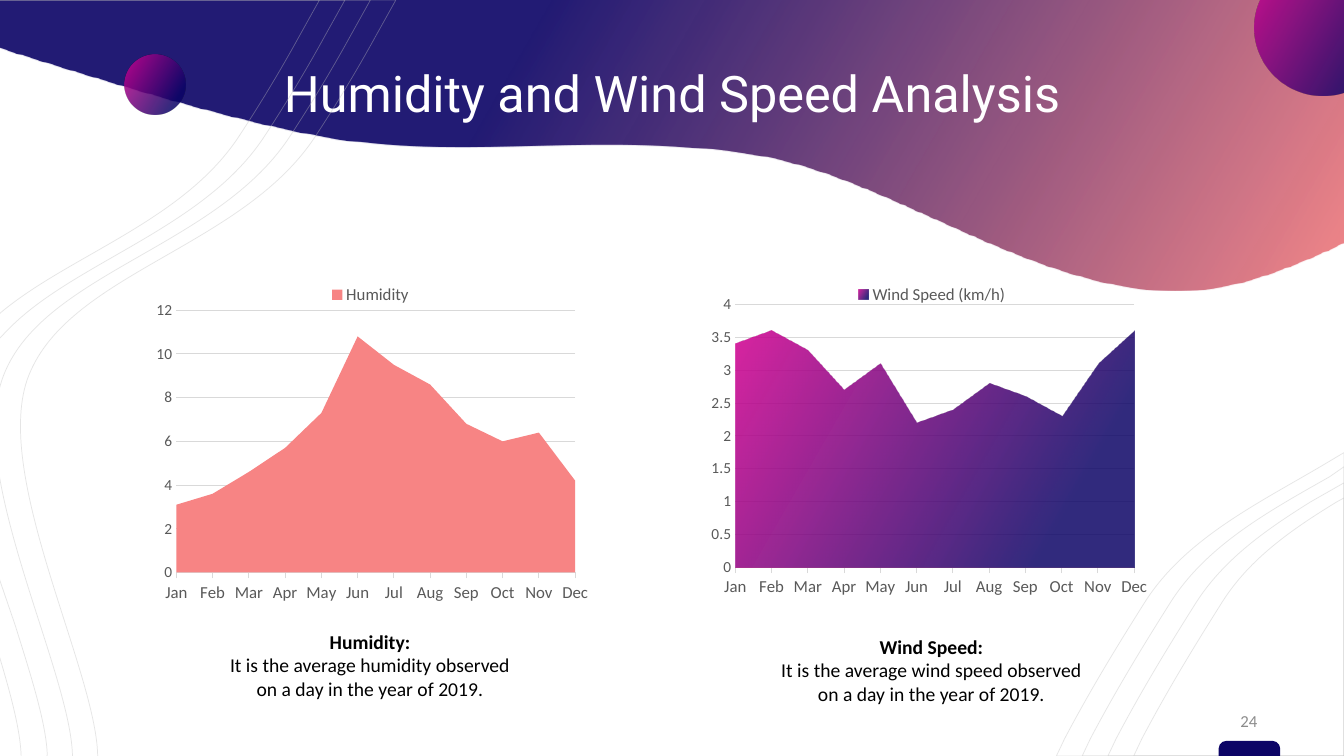
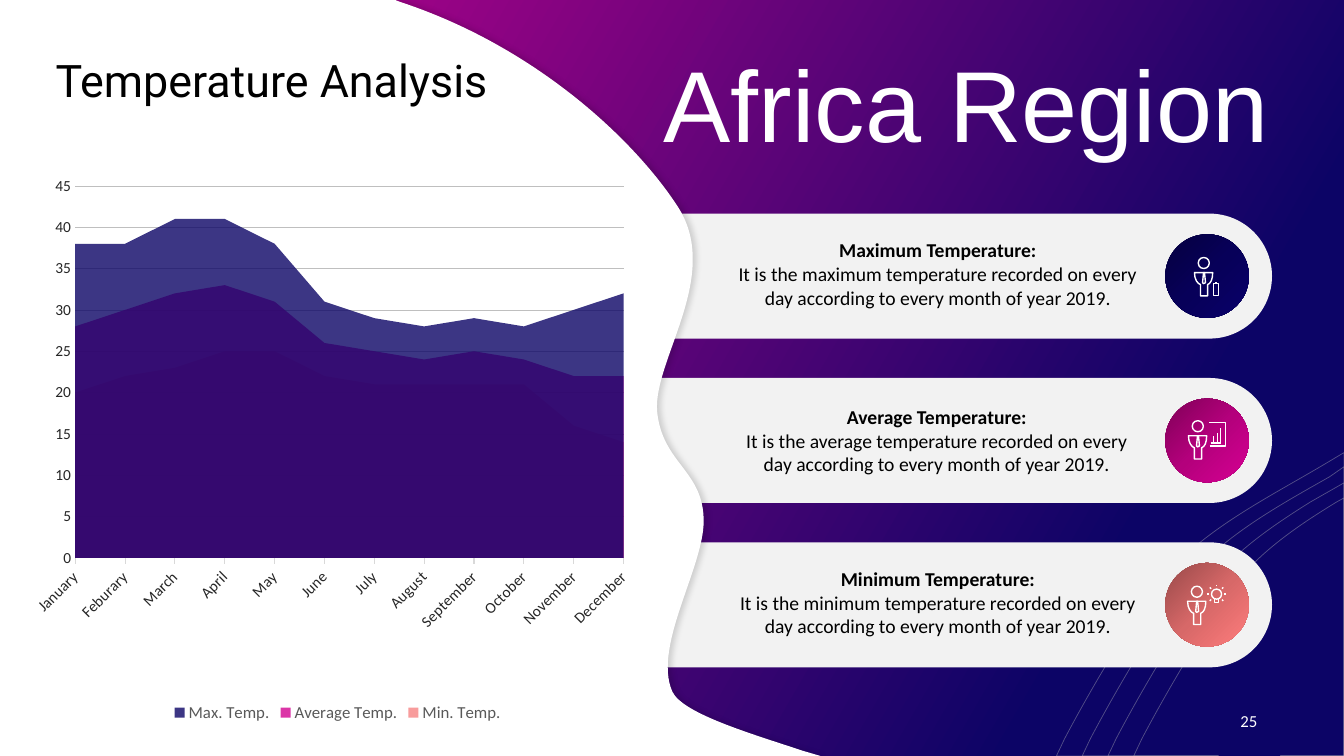
from math import cos, radians, sin

from lxml import etree
from pptx import Presentation
from pptx.chart.data import CategoryChartData
from pptx.dml.color import RGBColor
from pptx.enum.chart import XL_CHART_TYPE, XL_LEGEND_POSITION, XL_TICK_MARK
from pptx.enum.shapes import MSO_CONNECTOR, MSO_SHAPE
from pptx.enum.text import MSO_ANCHOR, MSO_AUTO_SIZE, PP_ALIGN
from pptx.oxml import parse_xml
from pptx.oxml.ns import nsdecls, qn
from pptx.util import Pt

AREA = XL_CHART_TYPE.AREA
TOP, BOTTOM = XL_LEGEND_POSITION.TOP, XL_LEGEND_POSITION.BOTTOM
NO_TICK, OUT_TICK = XL_TICK_MARK.NONE, XL_TICK_MARK.OUTSIDE
STRAIGHT = MSO_CONNECTOR.STRAIGHT
OVAL, PILL = MSO_SHAPE.OVAL, MSO_SHAPE.ROUNDED_RECTANGLE
BLOCK, TAB = MSO_SHAPE.RECTANGLE, MSO_SHAPE.ROUND_2_SAME_RECTANGLE
MIDDLE, CENTER = MSO_ANCHOR.MIDDLE, PP_ALIGN.CENTER
FIXED = MSO_AUTO_SIZE.NONE

INK = {
    "white": "FFFFFF", "black": "000000", "navy": "0C0466", "pink": "D30392",
    "coral": "F78484", "pale": "F2F2F2", "strand": "BFBFBF", "axis": "D9D9D9",
    "label": "595959", "dark": "262626", "page": "8C8C8C",
}
BODY, HEAD = "Calibri", "Roboto"
# Gradient stops: position, colour, opacity, all but the colour in percent
GLOW = [(0, INK["pink"], 86), (81, INK["navy"], 84)]
SKY = [(36, INK["navy"], 90), (100, INK["coral"], 95)]
DISCS = [
    [(0, "05003F", 100), (50, "070059", 100), (100, "09006A", 100)],
    [(0, "7F0057", 100), (50, "B4007C", 100), (100, "D60093", 100)],
    [(0, "974949", 100), (50, "D76868", 100), (100, "FF7C7C", 100)],
]

WAVE = ("M 0 0 L 960 0 L 960 172.8 L 949.7 177.8 C 922.3 190.1 897.8 199.4 876.2 203.8 "
        "C 761 228.2 645.8 128.2 540 110.9 C 434.2 93.6 336.2 113.8 239.8 99.4 "
        "C 167.8 87.8 73.4 57.6 10.8 38.2 L 0 34.6 Z")
PANEL = ("M 0 0 L 282.2 0 L 285.8 1.4 C 382.3 33.1 453.6 100.1 484.6 148.3 "
         "C 515.5 197.3 466.6 257 469.4 293.8 C 473 330.5 501.1 335.5 502.6 369.4 "
         "C 504.7 402.5 465.8 460.8 480.2 493.9 C 487.4 509.8 537.1 524.2 573.8 536.4 "
         "L 586.1 540 L 0 540 Z")
CORNER = [
    (323.3, "847.4 383.8 900.7 358.6 946.8 331.2"),
    (333.4, "862.6 388.8 907.9 364.3 949.7 340.6"),
    (344.9, "874.8 398.9 905 378 936 358.6"),
    (355.7, "892.8 398.9 923 378 954.7 358.6"),
]
SWIRL = [
    "C 131.8 157.7 49.7 182.2 0.7 223.2 L -2 226 Z "
    "M -2 463.7 C 7.2 493.9 14.4 520.6 15.1 539.3 L 15.1 541 L -2 541 Z",
    "C 146.9 162.7 54.7 186.5 7.2 234 L -2 243.4 Z "
    "M -2 409 L 10.8 446.4 C 22.3 483.1 33.1 517 33.8 539.3 L 33.1 541 L -2 541 Z",
    "C 155.5 177.8 27.4 195.1 1.4 271.4 C 0 275.8 -1.4 280.8 -2 285 Z "
    "M -2 323.3 L -1.4 334.1 C 9.4 405.4 50.4 493.9 51.8 539.3 L 51.8 541 L -2 541 Z",
    "C 173.5 177.8 46.1 195.1 19.4 271.4 C -4.3 341.3 68.4 478.8 69.8 539.3 "
    "L 69.8 541 L -2 541 Z",
]
TORSO = ("M 13 0 L 0 0 C 0 5 2.2 7.9 4.3 8.6 L 4.3 16.6 L 9.4 16.6 L 9.4 8.6 "
         "C 11.5 7.9 13 5 13 0 Z")
TIE = "M 7.2 0 L 6.5 0 L 5.8 7.2 L 6.5 7.9 L 7.9 7.2 Z"
BOARD = "M 31.7 33.8 L 43.2 33.8 L 43.2 17.3 L 31 17.3"
SOCKET = "M 38.2 25.2 L 38.2 28.1 L 35.3 28.1 L 35.3 25.2"

SHORT = ["Jan", "Feb", "Mar", "Apr", "May", "Jun",
         "Jul", "Aug", "Sep", "Oct", "Nov", "Dec"]
LONG = ["January", "Feburary", "March", "April", "May", "June", "July",
        "August", "September", "October", "November", "December"]
BLANK = [None] * 12


def rgb(code):
    return RGBColor.from_string(code)


def fade(part, rate):
    """Give every colour below the XML part an opacity in percent."""
    for tint in part.iter(qn("a:srgbClr")):
        etree.SubElement(tint, qn("a:alpha")).set("val", str(rate * 1000))


def blend(part, stops, angle=30):
    """Swap the solid fill of the XML part for a gradient."""
    marks = "".join(
        f'<a:gs pos="{at * 1000}"><a:srgbClr val="{code}"><a:alpha val="{rate * 1000}"/>'
        "</a:srgbClr></a:gs>" for at, code, rate in stops)
    new = parse_xml(f'<a:gradFill {nsdecls("a")} rotWithShape="1"><a:gsLst>{marks}</a:gsLst>'
                    f'<a:lin ang="{angle * 60000}" scaled="0"/></a:gradFill>')
    part.replace(part.find(qn("a:solidFill")), new)


def dress(shape, fill=None, line=None, width=1):
    shape.shadow.inherit = False
    if fill:
        shape.fill.solid()
        shape.fill.fore_color.rgb = rgb(fill)
    else:
        shape.fill.background()
    if line:
        shape.line.color.rgb = rgb(line)
        shape.line.width = Pt(width)
    else:
        shape.line.fill.background()
    return shape


def form(slide, kind, box, **look):
    return dress(slide.shapes.add_shape(kind, *map(Pt, box)), **look)


def bend(shape, steps):
    """Join the three lines that stand for each C step into one cubic curve."""
    lines = iter(shape._element.findall(".//" + qn("a:lnTo")))
    for step in steps:
        line = next(lines)
        if step == "C":
            curve = line.makeelement(qn("a:cubicBezTo"))
            line.addprevious(curve)
            for leg in (line, next(lines), next(lines)):
                curve.append(leg.find(qn("a:pt")))
                leg.getparent().remove(leg)


def trace(slide, route, x=0, y=0, **look):
    """Draw a route of M, L, C and Z steps, in points from x, y."""
    words, loops, steps = iter(route.split()), [], []
    for step in words:
        dots = [(Pt(x + float(next(words))), Pt(y + float(next(words))))
                for _ in range({"M": 1, "L": 1, "C": 3, "Z": 0}[step])]
        if step == "M":
            loops.append([dots, False])
        elif step == "Z":
            loops[-1][1] = True
        else:
            loops[-1][0].extend(dots)
            steps.append(step)
    pen = None
    for dots, closed in loops:
        if pen:
            pen.move_to(*dots[0])
        else:
            pen = slide.shapes.build_freeform(*dots[0], scale=1.0)
        pen.add_line_segments(dots[1:], close=closed)
    shape = pen.convert_to_shape()
    bend(shape, steps)
    return dress(shape, **look)


def stroke(slide, x, y, ends):
    a, b, c, d = ends
    line = slide.shapes.add_connector(STRAIGHT, Pt(x + a), Pt(y + b), Pt(x + c), Pt(y + d))
    line.line.color.rgb = rgb(INK["white"])
    line.line.width = Pt(1)
    etree.SubElement(line._element.spPr, qn("a:effectLst"))


def write(shape, lines, size, color, face=BODY, space=None):
    """Fill a frame with centred lines, each a pair of text and bold."""
    frame = shape.text_frame
    frame.word_wrap, frame.auto_size = True, FIXED
    frame.vertical_anchor = MIDDLE
    for i, (words, bold) in enumerate(lines):
        para = frame.add_paragraph() if i else frame.paragraphs[0]
        para.alignment, para.line_spacing = CENTER, space
        run = para.add_run()
        run.text = words
        run.font.size, run.font.name, run.font.bold = Pt(size), face, bold
        run.font.color.rgb = rgb(color)
    return frame


def label(slide, box, *args, **more):
    return write(slide.shapes.add_textbox(*map(Pt, box)), *args, **more)


def note(slide, box, head, *lines):
    frame = label(slide, box, [(head, True)] + [(line, False) for line in lines],
                  14, INK["black"])
    frame.margin_left = frame.margin_right = frame.margin_top = frame.margin_bottom = 0


def title(slide, box, words, size, color):
    shape = slide.shapes.title
    shape.left, shape.top, shape.width, shape.height = map(Pt, box)
    write(shape, [(words, False)], size, color, HEAD, 0.9)
    slide.shapes._spTree.append(shape._element)


def strand(slide, route):
    shape = trace(slide, route, line=INK["strand"], width=0.5)
    fade(shape._element.spPr.find(qn("a:ln")), 40)


def corner(slide):
    for i, (top, tail) in enumerate(CORNER):
        x = 754.6 + 18.4 * i
        strand(slide, f"M 960 {top} L 960 540 L {x} 540 L {x + 5.8} 527.8 "
                      f"C {x + 25.9} 489.6 {x + 47.5} 455 {x + 63.4} 429.8 C {tail} Z")


def swirl(slide):
    for i, tail in enumerate(SWIRL):
        x = 228.2 + 18.2 * i
        strand(slide, f"M -2 0 L {x} 0 L {x - 14.8} 26.6 "
                      f"C {x - 29.5} 53.3 {x - 44.6} 77.8 {x - 56.9} 96.5 {tail}")


def footer(slide, page, color):
    form(slide, TAB, (870.5, 529.2, 43.9, 10.8), fill=INK["navy"]).adjustments[0] = 0.5
    label(slide, (875.5, 500.4, 33.1, 28.8), [(page, False)], 12, color)


def orb(slide, box, stops=GLOW, angle=30):
    shape = form(slide, OVAL, box, fill=INK["navy"])
    blend(shape._element.spPr, stops, angle)


def graph(slide, box, cats, rows, plot, top, unit, key=TOP, tone=INK["label"],
          size=12, grid=(INK["axis"], 0.75), tilt=None):
    """Area chart; rows hold name, values, colour or gradient, and opacity."""
    data = CategoryChartData()
    data.categories = cats
    for name, vals, *_ in rows:
        data.add_series(name, vals)
    chart = slide.shapes.add_chart(AREA, *map(Pt, box), data).chart
    chart.has_title = False
    chart.font.size, chart.font.name = Pt(10), BODY
    chart.plots[0].vary_by_categories = False
    chart.has_legend = True
    chart.legend.position, chart.legend.include_in_layout = key, False
    for i, (series, (_, vals, color, rate)) in enumerate(zip(chart.plots[0].series, rows)):
        fill = series.format.fill
        fill.solid()
        shade = series._element.spPr
        if isinstance(color, list):
            fill.fore_color.rgb = rgb(INK["navy"])
            blend(shade, color)
        else:
            fill.fore_color.rgb = rgb(color)
            fade(shade, rate)
        if vals is BLANK:
            chart.legend._element.find(qn("c:legendPos")).addnext(parse_xml(
                f'<c:legendEntry {nsdecls("c")}><c:idx val="{i}"/><c:delete val="1"/>'
                "</c:legendEntry>"))
    across, up = chart.category_axis, chart.value_axis
    for font, high, color in ((chart.legend.font, 12, INK["label"]),
                              (across.tick_labels.font, size, tone),
                              (up.tick_labels.font, 11, tone)):
        font.size, font.name, font.color.rgb = Pt(high), BODY, rgb(color)
    across.major_tick_mark, up.major_tick_mark = OUT_TICK, NO_TICK
    across.has_major_gridlines, up.has_major_gridlines = False, True
    up.minimum_scale, up.maximum_scale, up.major_unit = 0, top, unit
    up.format.line.fill.background()
    for line, (color, width) in ((across.format.line, (INK["axis"], 0.75)),
                                 (up.major_gridlines.format.line, grid)):
        line.color.rgb, line.width = rgb(color), Pt(width)
    if tilt:
        across._element.find(qn("c:txPr")).find(qn("a:bodyPr")).set("rot", str(tilt * 60000))
    for cross in chart._chartSpace.iter(qn("c:crossBetween")):
        cross.set("val", "midCat")
    area = chart._chartSpace.find(".//" + qn("c:plotArea"))
    for old in area.findall(qn("c:layout")):
        area.remove(old)
    spots = "".join(f'<c:{tag} val="{val}"/>' for tag, val in zip("xywh", plot))
    area.insert(0, parse_xml(
        f'<c:layout {nsdecls("c")}><c:manualLayout><c:layoutTarget val="inner"/>'
        f'<c:xMode val="edge"/><c:yMode val="edge"/>{spots}</c:manualLayout></c:layout>'))


def icon(slide, x, y, kind):
    """White figure with a bag, board or bulb on the disc at x, y."""
    pen = {"line": INK["white"]}
    left, top = {"bag": (20.9, 16.6), "board": (16.6, 15.8), "bulb": (16, 16.6)}[kind]
    form(slide, OVAL, (x + left + 2.7, y + top, 7.9, 7.9), **pen)
    for route in (TORSO, TIE):
        trace(slide, route, x + left, y + top + 10.8, **pen)
    if kind == "bag":
        form(slide, BLOCK, (x + 34.6, y + 35.3, 3.6, 8.6), **pen)
        lines = [(36.4, 35.3, 36.4, 33.8)]
    elif kind == "board":
        trace(slide, BOARD, x, y, **pen)
        lines = [(32.4, 31.7, 39.6, 31.7)]
        lines += [(a, 31.7, a, b) for a, b in ((34.6, 26.6), (37.4, 24.5), (39.6, 20.9))]
    else:
        trace(slide, SOCKET, x, y, **pen)
        form(slide, OVAL, (x + 33.1, y + 18.7, 7.2, 7.2), **pen)
        rays = [(cos(radians(a)), sin(radians(a))) for a in range(-225, 46, 45)]
        lines = [(36.7 + 5.5 * a, 22.3 + 5.5 * b, 36.7 + 6.8 * a, 22.3 + 6.8 * b)
                 for a, b in rays]
    for ends in lines:
        stroke(slide, x, y, ends)


def card(slide, x, y, stops, kind, head, line, spot):
    form(slide, PILL, (x, y, 483.8, 89.3), fill=INK["pale"]).adjustments[0] = 0.5
    orb(slide, (x + 407.5, y + 14.7, 59.8, 59.8), stops, 45)
    icon(slide, x + 407.5, y + 14.7, kind)
    left, drop, wide = spot
    note(slide, (x + left, y + drop, wide, 51.1), head, line)


def weather(slide):
    corner(slide)
    blend(trace(slide, WAVE, fill=INK["navy"])._element.spPr, SKY)
    title(slide, (51.1, 35, 858.2, 67), "Humidity and Wind Speed Analysis", 36, INK["white"])
    footer(slide, "24", INK["page"])
    orb(slide, (896.4, -28.8, 97.2, 97.2))
    orb(slide, (89.3, 38.9, 43.2, 43.2))
    swirl(slide)
    wet = [("Humidity", [3.1, 3.6, 4.6, 5.7, 7.3, 10.8, 9.5, 8.6, 6.8, 6, 6.4, 4.2],
            INK["coral"], 100), ("Series 2", BLANK, GLOW, None)]
    wind = [("Series 1", BLANK, INK["coral"], 100),
            ("Wind Speed (km/h)",
             [3.4, 3.6, 3.3, 2.7, 3.1, 2.2, 2.4, 2.8, 2.6, 2.3, 3.1, 3.6], GLOW, None)]
    for x, drop, rows, plot, top, unit, head, what in (
            (92.2, 254.2, wet, (0.098, 0.108, 0.826, 0.77), 12, 2, "Humidity:", "humidity"),
            (493.2, 258, wind, (0.093, 0.092, 0.826, 0.77), 4, 0.5, "Wind Speed:",
             "wind speed")):
        graph(slide, (x, 195.3, 344.9, 243.4), SHORT, rows, plot, top, unit)
        note(slide, (x + 13, 195.1 + drop, 318.2, 51.1), head,
             f"It is the average {what} observed", "on a day in the year of 2019.")


def region(slide):
    slide.background.fill.solid()
    slide.background.fill.fore_color.rgb = rgb(INK["navy"])
    blend(slide._element.find(".//" + qn("p:bgPr")), GLOW)
    corner(slide)
    for i, (kind, word, spot) in enumerate((("bag", "Maximum", (97.2, 17.3, 295.9)),
                                            ("board", "Average", (97.9, 19, 293)),
                                            ("bulb", "Minimum", (97.2, 17.2, 295.9)))):
        card(slide, 424.8, 152.6 + 117.4 * i, DISCS[i], kind, f"{word} Temperature:",
             f"It is the {word.lower()} temperature recorded on every day "
             "according to every month of year 2019.", spot)
    panel = trace(slide, PANEL, fill=INK["white"])
    panel._element.spPr.find(qn("a:effectLst")).append(parse_xml(
        f'<a:outerShdw {nsdecls("a")} blurRad="{Pt(4)}" dist="{Pt(3)}" dir="0">'
        f'<a:srgbClr val="{INK["black"]}"><a:alpha val="15000"/></a:srgbClr></a:outerShdw>'))
    title(slide, (17.3, 25.9, 353.5, 67), "Temperature Analysis", 32, INK["black"])
    footer(slide, "25", INK["white"])
    label(slide, (452.6, 44.9, 475.2, 67), [("Africa Region", False)], 72, INK["white"],
          face="Arial", space=0.9)
    rows = [
        ("Max. Temp.", [38, 38, 41, 41, 38, 31, 29, 28, 29, 28, 30, 32], INK["navy"], 80),
        ("Average Temp.", [28, 30, 32, 33, 31, 26, 25, 24, 25, 24, 22, 22], INK["pink"], 80),
        ("Min. Temp.", [20, 22, 23, 25, 25, 22, 21, 21, 21, 21, 16, 14], INK["coral"], 80),
    ]
    graph(slide, (13.7, 115.9, 455, 403.2), LONG, rows, (0.088, 0.042, 0.861, 0.659), 45, 5,
          BOTTOM, INK["dark"], 11, (INK["strand"], 0.5), -45)


def main():
    deck = Presentation()
    deck.slide_width, deck.slide_height = Pt(960), Pt(540)
    for build in (weather, region):
        build(deck.slides.add_slide(deck.slide_layouts[5]))
    deck.save("out.pptx")


if __name__ == "__main__":
    main()
